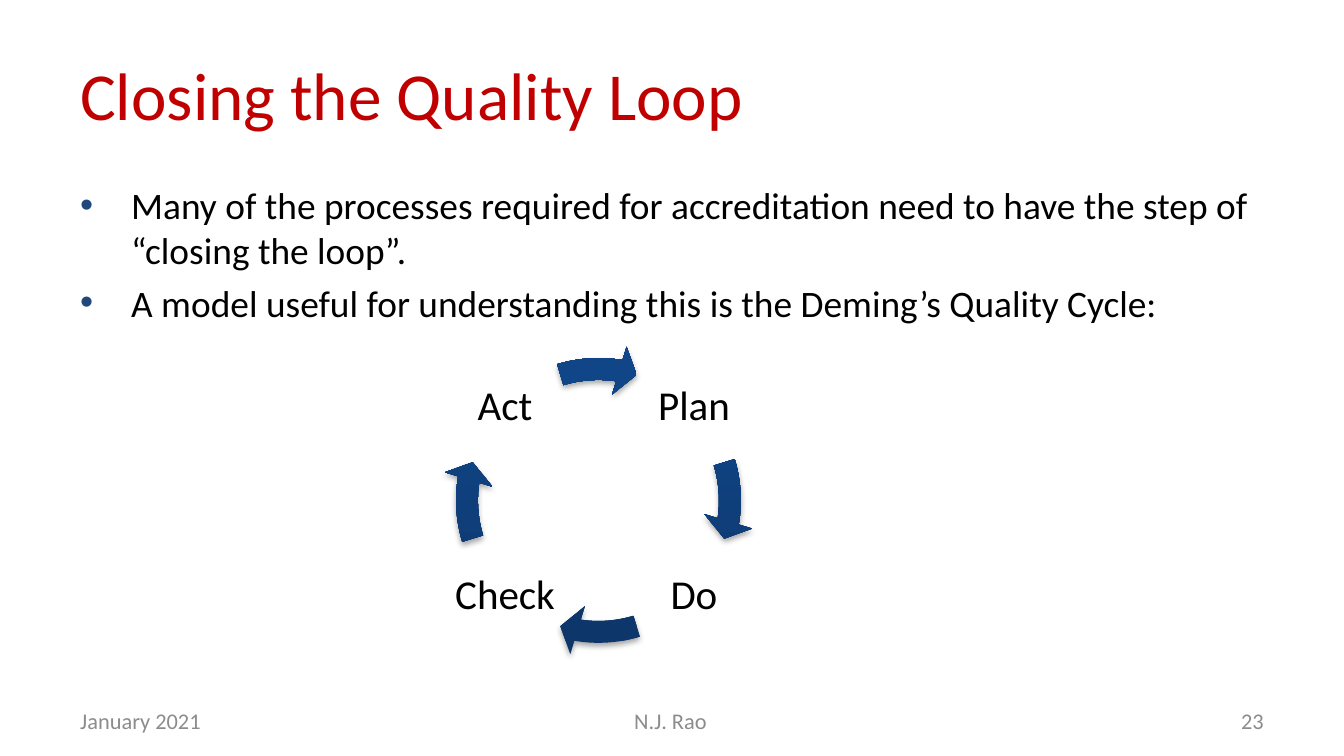
import copy
import lxml.etree
import pptx
import pptx.dml.color
import pptx.enum.shapes
import pptx.enum.text
import pptx.oxml.ns
import pptx.util

PX = 914400 / 134.4
ALIGN = pptx.enum.text.PP_ALIGN
ANCHOR = pptx.enum.text.MSO_ANCHOR
qn = pptx.oxml.ns.qn


def rgb(value):
    return pptx.dml.color.RGBColor.from_string(value)


def add_text(box, lines, size, color, align=ALIGN.LEFT, anchor=ANCHOR.MIDDLE, inset=None):
    frame = slide.shapes.add_textbox(*[round(v * PX) for v in box]).text_frame
    frame.word_wrap = True
    frame.vertical_anchor = anchor
    if inset is not None:
        frame.margin_left = frame.margin_right = round(inset * PX)
        frame.margin_top = frame.margin_bottom = round(inset * PX)
    frame.text = "\n".join(lines)
    for paragraph in frame.paragraphs:
        paragraph.alignment = align
        paragraph.font.name = "Calibri"
        paragraph.font.size = pptx.util.Pt(size)
        paragraph.font.color.rgb = rgb(color)
    return frame


prs = pptx.Presentation()
prs.slide_width = round(1344 * PX)
prs.slide_height = round(756 * PX)
slide = prs.slides.add_slide(prs.slide_layouts[6])

add_text((67, 31, 1210, 126), ["Closing the Quality Loop"], 36, "C00000")

points = [
    "Many of the processes required for accreditation need to have the step of “closing the loop”.",
    "A model useful for understanding this is the Deming’s Quality Cycle:",
]
body = add_text((67, 176, 1210, 499), points, 20, "000000", anchor=ANCHOR.TOP)
body.paragraphs[1].space_before = pptx.util.Pt(4)
for paragraph in body.paragraphs:
    properties = paragraph._p.get_or_add_pPr()
    properties.set("marL", str(round(51 * PX)))
    properties.set("indent", str(round(-51 * PX)))
    bullet_color = lxml.etree.Element(qn("a:buClr"))
    lxml.etree.SubElement(bullet_color, qn("a:srgbClr"), val="1F497D")
    bullet_font = lxml.etree.Element(qn("a:buFont"), typeface="Arial")
    bullet = lxml.etree.Element(qn("a:buChar"), char="•")
    run_defaults = properties.find(qn("a:defRPr"))
    for part in (bullet_color, bullet_font, bullet):
        run_defaults.addprevious(part)

gradient = [(0, "0D3568"), (0.8, "104587"), (1, "0E458A")]
steps = [("Plan", 638, 351), ("Do", 638, 540), ("Check", 449, 540), ("Act", 449, 351)]
for index, (step, left, top) in enumerate(steps):
    label = add_text((left, top, 112, 112), [step], 22, "000000", ALIGN.CENTER, inset=4)
    label.paragraphs[0].line_spacing = 0.9

    arrow = slide.shapes.add_shape(
        pptx.enum.shapes.MSO_SHAPE.CIRCULAR_ARROW,
        *[round(v * PX) for v in (442, 344, 313, 313)])
    turn = 54 * index
    for slot, value in enumerate((0.07, 4.66, 5.48 + turn, (205.87 + turn) % 216, 0.08)):
        arrow.adjustments[slot] = value
    arrow.line.fill.background()
    arrow.fill.gradient()
    arrow.fill.gradient_angle = 90
    stop_list = arrow._element.spPr.find(qn("a:gradFill")).find(qn("a:gsLst"))
    stop_list.append(copy.deepcopy(stop_list[0]))
    for stop, (position, color) in zip(arrow.fill.gradient_stops, gradient):
        stop.position = position
        stop.color.rgb = rgb(color)
    arrow.shadow.inherit = False
    effects = arrow._element.spPr.find(qn("a:effectLst"))
    shadow = lxml.etree.SubElement(
        effects, qn("a:outerShdw"), blurRad="40000", dist="23000", dir="5400000", rotWithShape="0")
    shadow_color = lxml.etree.SubElement(shadow, qn("a:srgbClr"), val="000000")
    lxml.etree.SubElement(shadow_color, qn("a:alpha"), val="35000")

footers = [
    ("January 2021", 67, 313, ALIGN.LEFT),
    ("N.J. Rao ", 460, 426, ALIGN.CENTER),
    ("23", 964, 313, ALIGN.RIGHT),
]
for footer, left, width, align in footers:
    add_text((left, 700, width, 41), [footer], 12, "8C8C8C", align)

prs.save("out.pptx")
